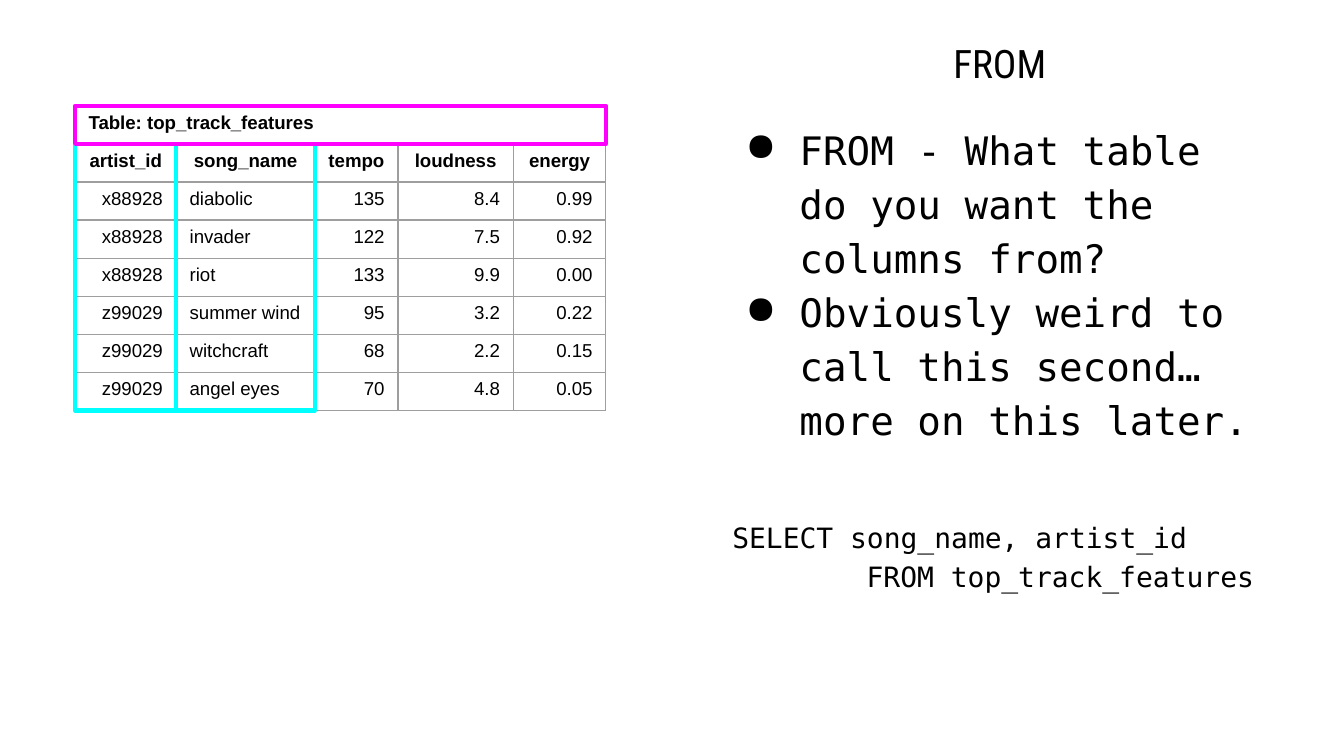
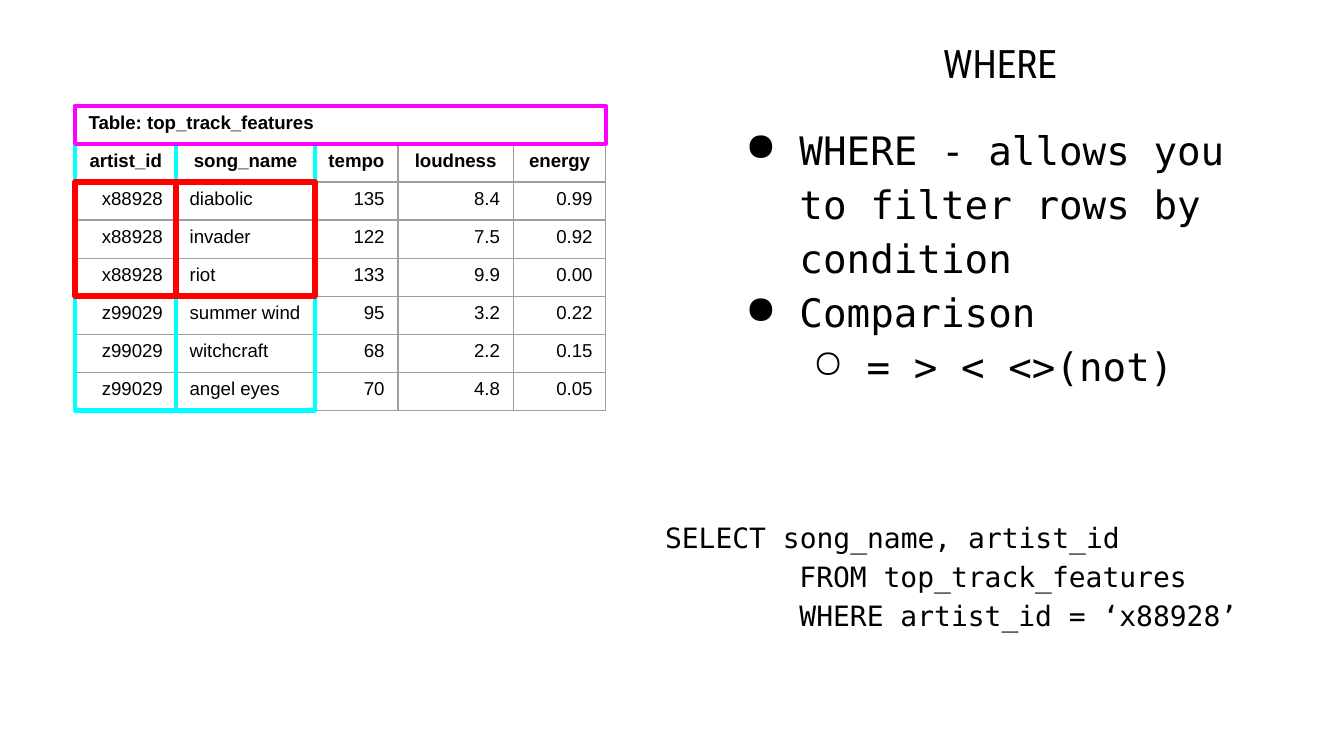
from lxml import etree
from pptx import Presentation
from pptx.dml.color import RGBColor
from pptx.enum.shapes import MSO_SHAPE
from pptx.enum.text import MSO_ANCHOR, PP_ALIGN
from pptx.oxml.ns import qn
from pptx.util import Cm, Pt

RECTANGLE = MSO_SHAPE.RECTANGLE
TOP = MSO_ANCHOR.TOP
LEFT, CENTER, RIGHT = PP_ALIGN.LEFT, PP_ALIGN.CENTER, PP_ALIGN.RIGHT

BLACK = RGBColor(0x00, 0x00, 0x00)
WHITE = RGBColor(0xFF, 0xFF, 0xFF)
GRAY = RGBColor(0x9E, 0x9E, 0x9E)
CYAN = RGBColor(0x00, 0xFF, 0xFF)
MAGENTA = RGBColor(0xFF, 0x00, 0xFF)
RED = RGBColor(0xFF, 0x00, 0x00)

TITLE_FONT = {"name": "Roboto Condensed", "size": Pt(21)}
BODY_FONT = {"name": "DejaVu Sans Mono", "size": Pt(21)}
CODE_FONT = {"name": "DejaVu Sans Mono", "size": Pt(15)}
CELL_FONT = {"name": "Arial", "size": Pt(10), "bold": False}
HEADER_FONT = {**CELL_FONT, "bold": True}

LINE_SPACING = 1.15
TAB_STOP = Cm(2.54)
BULLETS = ["●", "○"]
BULLET_STEP, BULLET_HANG = Cm(1.27), Cm(1.02)

TABLE_LEFT, TABLE_TOP = 1.42, 2.0
COLUMN_WIDTHS = [1.91, 2.62, 1.57, 2.18, 1.75]
ROW_HEIGHT = 0.72
TABLE_CAPTION = "Table: top_track_features"
COLUMN_NAMES = ["artist_id", "song_name", "tempo", "loudness", "energy"]
COLUMN_ALIGNS = [RIGHT, LEFT, RIGHT, RIGHT, RIGHT]
TRACKS = [
    ["x88928", "diabolic", "135", "8.4", "0.99"],
    ["x88928", "invader", "122", "7.5", "0.92"],
    ["x88928", "riot", "133", "9.9", "0.00"],
    ["z99029", "summer wind", "95", "3.2", "0.22"],
    ["z99029", "witchcraft", "68", "2.2", "0.15"],
    ["z99029", "angel eyes", "70", "4.8", "0.05"],
]
LAST_ROW = len(TRACKS) + 1


def add_xml(parent, tag, **attributes):
    values = {key: str(value) for key, value in attributes.items()}
    return etree.SubElement(parent, qn(tag), values)


def write(paragraph, text, font, align=LEFT):
    paragraph.alignment = align
    run = paragraph.add_run()
    run.text = text
    for attribute, value in font.items():
        setattr(run.font, attribute, value)
    run.font.color.rgb = BLACK


class Deck:
    def __init__(self):
        self.presentation = Presentation()
        self.presentation.slide_width = Cm(25.4)
        self.presentation.slide_height = Cm(14.29)
        self.slide = None

    def new_slide(self):
        blank = self.presentation.slide_layouts[6]
        self.slide = self.presentation.slides.add_slide(blank)

    def text_frame(self, left, top, width, height):
        box = self.slide.shapes.add_textbox(Cm(left), Cm(top), Cm(width), Cm(height))
        frame = box.text_frame
        frame.word_wrap = True
        frame.vertical_anchor = TOP
        for side in ("left", "top", "right", "bottom"):
            setattr(frame, f"margin_{side}", Cm(0.25))
        return frame

    def paragraphs(self, frame, count):
        for _ in range(count - 1):
            frame.add_paragraph()
        return frame.paragraphs

    def title(self, text):
        frame = self.text_frame(13.28, 0.5, 11.23, 1.9)
        write(frame.paragraphs[0], text, TITLE_FONT, CENTER)

    def bullets(self, items):
        """Each item is a pair of level and text."""
        frame = self.text_frame(13.59, 2.0, 10.67, 10.26)
        for paragraph, (level, text) in zip(self.paragraphs(frame, len(items)), items):
            properties = paragraph._p.get_or_add_pPr()
            properties.set("marL", str(BULLET_STEP * (level + 1)))
            properties.set("indent", str(-BULLET_HANG))
            color = add_xml(properties, "a:buClr")
            add_xml(color, "a:srgbClr", val=BLACK)
            add_xml(properties, "a:buChar", char=BULLETS[level])
            paragraph.level = level
            paragraph.line_spacing = LINE_SPACING
            write(paragraph, text, BODY_FONT)

    def query(self, left, width, clauses):
        frame = self.text_frame(left, 9.5, width, 2.21)
        for paragraph, clause in zip(self.paragraphs(frame, len(clauses)), clauses):
            tabs = add_xml(paragraph._p.get_or_add_pPr(), "a:tabLst")
            add_xml(tabs, "a:tab", pos=TAB_STOP, algn="l")
            paragraph.line_spacing = LINE_SPACING
            write(paragraph, clause, CODE_FONT)

    def format_cell(self, cell):
        properties = cell._tc.get_or_add_tcPr()
        for edge in ("L", "R", "T", "B"):
            border = add_xml(properties, f"a:ln{edge}", w=Pt(0.75))
            add_xml(add_xml(border, "a:solidFill"), "a:srgbClr", val=GRAY)
        cell.fill.solid()
        cell.fill.fore_color.rgb = WHITE

    def track_table(self):
        row_count = LAST_ROW + 1
        table = self.slide.shapes.add_table(
            row_count, len(COLUMN_NAMES), Cm(TABLE_LEFT), Cm(TABLE_TOP),
            Cm(sum(COLUMN_WIDTHS)), Cm(ROW_HEIGHT * row_count)).table
        table.first_row = table.horz_banding = False
        for column, width in zip(table.columns, COLUMN_WIDTHS):
            column.width = Cm(width)
        for row in table.rows:
            row.height = Cm(ROW_HEIGHT)
        for cell in table.iter_cells():
            self.format_cell(cell)

        caption = table.cell(0, 0)
        caption.merge(table.cell(0, len(COLUMN_NAMES) - 1))
        write(caption.text_frame.paragraphs[0], TABLE_CAPTION, HEADER_FONT)
        for r, values in enumerate([COLUMN_NAMES] + TRACKS, start=1):
            font = HEADER_FONT if r == 1 else CELL_FONT
            for c, value in enumerate(values):
                align = CENTER if r == 1 else COLUMN_ALIGNS[c]
                write(table.cell(r, c).text_frame.paragraphs[0], value, font, align)

    def outline(self, columns, rows, color, weight=2.25):
        """Frame the table cells between the first and last column and row."""
        (first_column, last_column), (first_row, last_row) = columns, rows
        frame = self.slide.shapes.add_shape(
            RECTANGLE,
            Cm(TABLE_LEFT + sum(COLUMN_WIDTHS[:first_column])),
            Cm(TABLE_TOP + ROW_HEIGHT * first_row),
            Cm(sum(COLUMN_WIDTHS[first_column:last_column + 1])),
            Cm(ROW_HEIGHT * (last_row - first_row + 1)))
        frame.shadow.inherit = False
        frame.fill.background()
        frame.line.color.rgb = color
        frame.line.width = Pt(weight)
        add_xml(frame.line._get_or_add_ln(), "a:round")

    def marked_table(self):
        """The track table with its selected columns and its name framed."""
        self.track_table()
        for column in (1, 0):
            self.outline((column, column), (1, LAST_ROW), CYAN)
        self.outline((0, len(COLUMN_NAMES) - 1), (0, 0), MAGENTA)


def from_slide(deck):
    deck.new_slide()
    deck.marked_table()
    deck.bullets([
        (0, "FROM - What table do you want the columns from?"),
        (0, "Obviously weird to call this second… more on this later."),
    ])
    deck.query(13.59, 11.81, [
        "SELECT song_name, artist_id",
        "\tFROM top_track_features",
    ])
    deck.title("FROM")


def where_slide(deck):
    deck.new_slide()
    deck.bullets([
        (0, "WHERE - allows you to filter rows by condition"),
        (0, "Comparison"),
        (1, "= > < <>(not)"),
    ])
    deck.title("WHERE")
    deck.marked_table()
    for column in (0, 1):
        deck.outline((column, column), (2, 4), RED, 3)
    deck.query(12.32, 11.91, [
        "SELECT song_name, artist_id",
        "\tFROM top_track_features",
        "\tWHERE artist_id = ‘x88928’",
    ])


def main():
    deck = Deck()
    from_slide(deck)
    where_slide(deck)
    deck.presentation.save("out.pptx")


if __name__ == "__main__":
    main()
